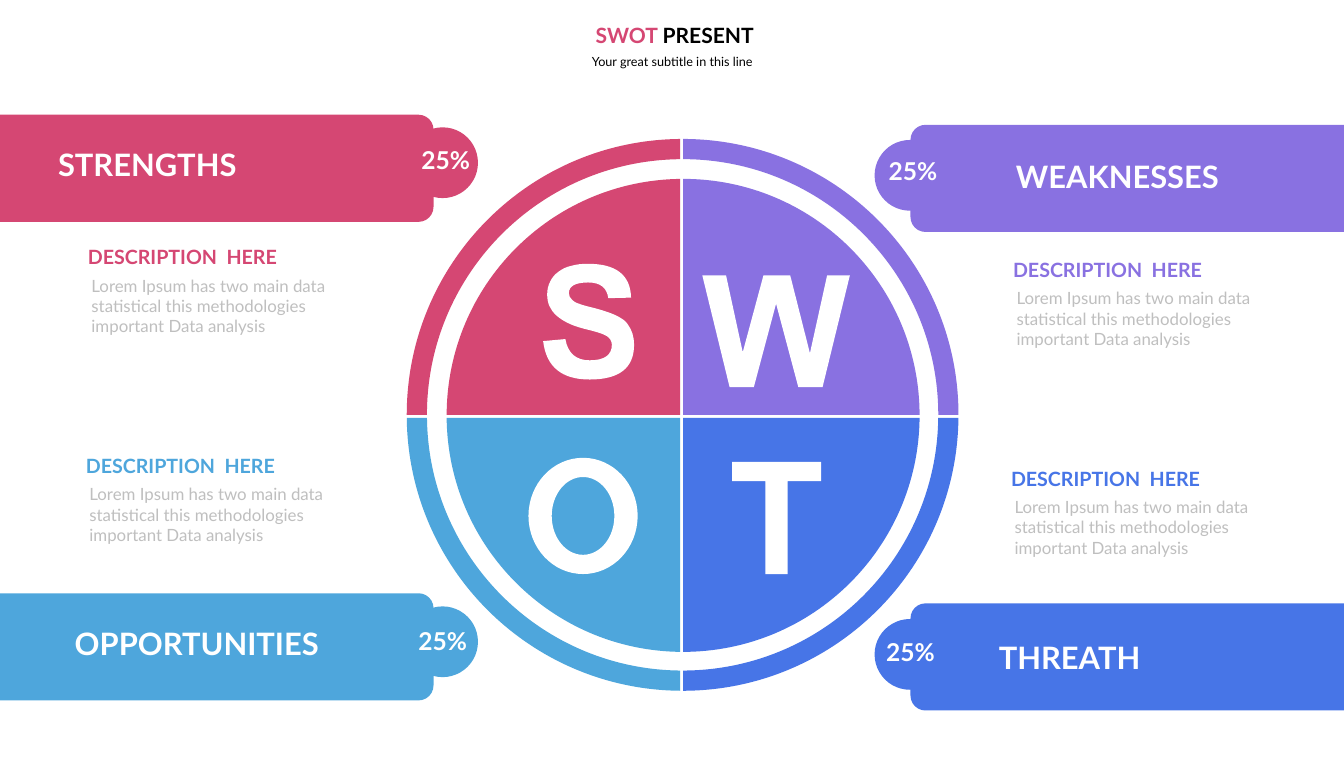
import math
from lxml import etree
from pptx import Presentation
from pptx.dml.color import RGBColor
from pptx.enum import shapes, text
from pptx.oxml import ns
from pptx.util import Inches, Pt

PINK = RGBColor(0xD5, 0x47, 0x73)
PURPLE = RGBColor(0x89, 0x71, 0xE1)
SKY = RGBColor(0x4E, 0xA6, 0xDC)
BLUE = RGBColor(0x47, 0x75, 0xE7)
WHITE = RGBColor(0xFF, 0xFF, 0xFF)
BLACK = RGBColor(0, 0, 0)
GREY = RGBColor(0xBF, 0xBF, 0xBF)

SMALL_INSET = (0.1, 0.05)
TITLE_INSET = (0.2, 0.1)
BODY_INSET = (0.24, 0.12)
BODY = "Lorem Ipsum has two main data statistical this methodologies important Data analysis"

BANNER_W, BANNER_H = 8.58, 2.12
RING_CENTRE, RING_OUTER, RING_INNER = (13.51, 8.21), 5.46, 5.06
PIE_CENTRE, PIE_RADIUS = (13.52, 8.22), 4.68
EDGE_X = {-1: 13.46, 1: 13.52}
EDGE_Y = {-1: 8.21, 1: 8.27}


def arc(centre, rx, ry, first, last):
    (cx, cy), k = centre, 4 / 3 * math.tan((last - first) / 4)
    units = [(math.cos(first), math.sin(first)),
             (math.cos(first) - k * math.sin(first), math.sin(first) + k * math.cos(first)),
             (math.cos(last) + k * math.sin(last), math.sin(last) - k * math.cos(last)),
             (math.cos(last), math.sin(last))]
    return [(cx + rx * x, cy + ry * y) for x, y in units]


def lines(*points):
    return [[point] for point in points]


def curves(start, *parts):
    return [[start]] + [list(zip(c[::2], c[1::2])) for c in parts]


def ellipse(centre, rx, ry):
    arcs = [arc(centre, rx, ry, i * math.pi / 2, (i + 1) * math.pi / 2) for i in range(4)]
    return [arcs[0][:1]] + [a[1:] for a in arcs]


LETTER_S = [curves(
    (11.64, 5.22), (12.19, 5.22, 12.48, 5.44, 12.49, 5.89), (12.04, 5.9),
    (12.01, 5.69, 11.88, 5.59, 11.64, 5.59), (11.39, 5.59, 11.26, 5.66, 11.26, 5.8),
    (11.26, 5.85, 11.28, 5.9, 11.33, 5.94), (11.35, 5.96, 11.39, 5.99, 11.46, 6.01),
    (11.53, 6.04, 11.62, 6.06, 11.74, 6.09), (11.93, 6.14, 12.08, 6.19, 12.19, 6.24),
    (12.31, 6.3, 12.38, 6.35, 12.42, 6.41), (12.51, 6.53, 12.55, 6.67, 12.55, 6.82),
    (12.55, 7.28, 12.26, 7.51, 11.67, 7.51), (11.12, 7.51, 10.81, 7.26, 10.75, 6.75),
    (11.19, 6.71), (11.24, 6.99, 11.4, 7.13, 11.67, 7.13),
    (11.96, 7.13, 12.11, 7.03, 12.11, 6.82), (12.11, 6.79, 12.1, 6.75, 12.08, 6.72),
    (12.07, 6.7, 12.04, 6.67, 12.01, 6.65), (11.95, 6.61, 11.79, 6.56, 11.54, 6.5),
    (11.31, 6.44, 11.13, 6.35, 11.01, 6.24), (10.89, 6.13, 10.83, 6, 10.83, 5.83),
    (10.83, 5.73, 10.85, 5.65, 10.89, 5.57), (10.93, 5.49, 10.98, 5.43, 11.05, 5.38),
    (11.13, 5.32, 11.21, 5.28, 11.31, 5.26), (11.41, 5.23, 11.52, 5.22, 11.64, 5.22))]
LETTER_W = [lines((13.9, 5.45), (14.37, 5.45), (14.7, 6.97), (15.11, 5.45), (15.64, 5.45),
                  (16.03, 6.99), (16.37, 5.45), (16.82, 5.45), (16.28, 7.66), (15.8, 7.66),
                  (15.36, 6.01), (14.92, 7.66), (14.44, 7.66))]
LETTER_O = [ellipse((11.54, 10.21), 1.08, 1.15), ellipse((11.54, 10.21), 0.62, 0.77)]
LETTER_T = [lines((14.49, 9.14), (16.25, 9.14), (16.25, 9.52), (15.59, 9.52),
                  (15.59, 11.36), (15.15, 11.36), (15.15, 9.52), (14.49, 9.52))]

QUARTERS = [
    dict(letter=LETTER_S, color=PINK, sides=(-1, -1)),
    dict(letter=LETTER_W, color=PURPLE, sides=(1, -1)),
    dict(letter=LETTER_O, color=SKY, sides=(-1, 1)),
    dict(letter=LETTER_T, color=BLUE, sides=(1, 1)),
]

PANELS = [
    dict(box=(0, 2.27), color=PINK, name="STRENGTHS", turn=90,
         disc=(8.06, 0.25), share=(8.17, 0.54), heading=(1.05, 0.56), note=(1.54, 2.48)),
    dict(box=(18.02, 2.47), color=PURPLE, name="WEAKNESSES", turn=270,
         disc=(-0.71, 0.3), share=(-0.6, 0.57), heading=(1.99, 0.61), note=(1.83, 2.53)),
    dict(box=(0, 11.74), color=SKY, name="OPPORTUNITIES", turn=90,
         disc=(8.06, 0.26), share=(8.11, 0.59), heading=(1.38, 0.58), note=(1.5, -2.86)),
    dict(box=(18.02, 11.94), color=BLUE, name="THREATH", turn=270,
         disc=(-0.71, 0.31), share=(-0.65, 0.62), heading=(1.65, 0.64), note=(1.79, -2.81)),
]


def write(sp, runs, size, bold=False, center=False, inset=SMALL_INSET):
    tf = sp.text_frame
    dx, dy = (Inches(v) for v in inset)
    frame = dict(word_wrap=True, auto_size=text.MSO_AUTO_SIZE.NONE,
                 vertical_anchor=text.MSO_ANCHOR.TOP, margin_left=dx,
                 margin_right=dx, margin_top=dy, margin_bottom=dy)
    for key, value in frame.items():
        setattr(tf, key, value)
    p = tf.paragraphs[0]
    p.alignment = text.PP_ALIGN.CENTER if center else text.PP_ALIGN.LEFT
    p.line_spacing = 1.0
    for words, color in runs:
        r = p.add_run()
        r.text = words
        for key, value in dict(name="Lato", size=Pt(size), bold=bold).items():
            setattr(r.font, key, value)
        r.font.color.rgb = color


def add_text(s, x, y, w, h, words, color, size, **fmt):
    sp = s.shapes.add_textbox(Inches(x), Inches(y), Inches(w), Inches(h))
    write(sp, [(words, color)], size, **fmt)


def paint(sp, color):
    sp.shadow.inherit = False
    sp.fill.solid()
    sp.fill.fore_color.rgb = color
    sp.line.fill.background()


def add_outline(s, contours, color):
    contours = [[[(Inches(x), Inches(y)) for x, y in part] for part in c] for c in contours]
    builder = s.shapes.build_freeform(*contours[0][0][0])
    for i, (start, *parts) in enumerate(contours):
        if i:
            builder.move_to(*start[0])
        builder.add_line_segments([point for part in parts for point in part], close=True)
    sp = builder.convert_to_shape()
    steps = iter(sp._element.xpath(".//a:lnTo"))
    for part in [part for c in contours for part in c[1:]]:
        group = [next(steps) for _ in part]
        if len(group) == 3:
            curve = etree.Element(ns.qn("a:cubicBezTo"))
            group[0].addprevious(curve)
            for step in group:
                curve.append(step[0])
                step.getparent().remove(step)
    paint(sp, color)


def quarter_arc(centre, radius, sides):
    (cx, cy), (sx, sy) = centre, sides
    first = math.asin((EDGE_Y[sy] - cy) * sy / radius)
    last = math.acos((EDGE_X[sx] - cx) * sx / radius)
    return [(cx + sx * x, cy + sy * y) for x, y in arc((0, 0), radius, radius, first, last)]


def add_header(s, x, y, w):
    sp = s.shapes.title
    box = dict(left=x, top=y, width=w, height=0.71)
    for key, value in box.items():
        setattr(sp, key, Inches(value))
    write(sp, [("SWOT ", PINK), ("PRESENT", BLACK)], 30,
          bold=True, center=True, inset=TITLE_INSET)
    add_text(s, x + 0.92, y + 0.61, 8.17, 0.55, "Your great subtitle in this line",
             BLACK, 18, center=True, inset=BODY_INSET)


def add_quarter(s, letter, color, sides):
    outer = quarter_arc(RING_CENTRE, RING_OUTER, sides)
    inner = quarter_arc(RING_CENTRE, RING_INNER, sides)[::-1]
    add_outline(s, [[outer[:1], outer[1:], inner[:1], inner[1:]]], color)
    corner = (EDGE_X[sides[0]], EDGE_Y[sides[1]])
    rim = quarter_arc(PIE_CENTRE, PIE_RADIUS, sides)
    add_outline(s, [[[corner], rim[:1], rim[1:]]], color)
    add_outline(s, letter, WHITE)


def add_panel(s, box, color, name, turn, disc, share, heading, note):
    def place(offset):
        return box[0] + offset[0], box[1] + offset[1]

    x, y = place(((BANNER_W - BANNER_H) / 2, (BANNER_H - BANNER_W) / 2))
    banner = s.shapes.add_shape(shapes.MSO_SHAPE.ROUND_2_SAME_RECTANGLE, Inches(x),
                                Inches(y), Inches(BANNER_H), Inches(BANNER_W))
    banner.rotation = turn
    banner.adjustments[0] = 0.14
    paint(banner, color)
    x, y = place(disc)
    paint(s.shapes.add_shape(shapes.MSO_SHAPE.OVAL, Inches(x), Inches(y),
                             Inches(1.4), Inches(1.4)), color)
    add_text(s, *place(heading), 5.52, 0.84, name, WHITE, 44, bold=True)
    add_text(s, *place(share), 1.3, 0.69, "25%", WHITE, 35, bold=True, center=True)
    x, y = place(note)
    add_text(s, x + 0.03, y + 0.58, 5.96, 1.45, BODY, GREY, 24, inset=BODY_INSET)
    add_text(s, x, y, 4.61, 0.67, "DESCRIPTION  HERE", color, 28, bold=True, inset=TITLE_INSET)


def main():
    prs = Presentation()
    prs.slide_width, prs.slide_height = Inches(26.6), Inches(15)
    s = prs.slides.add_slide(prs.slide_layouts[5])
    add_header(s, 8.3, 0.34, 10.11)
    for quarter in QUARTERS:
        add_quarter(s, **quarter)
    for panel in PANELS:
        add_panel(s, **panel)
    prs.save("out.pptx")


if __name__ == "__main__":
    main()
